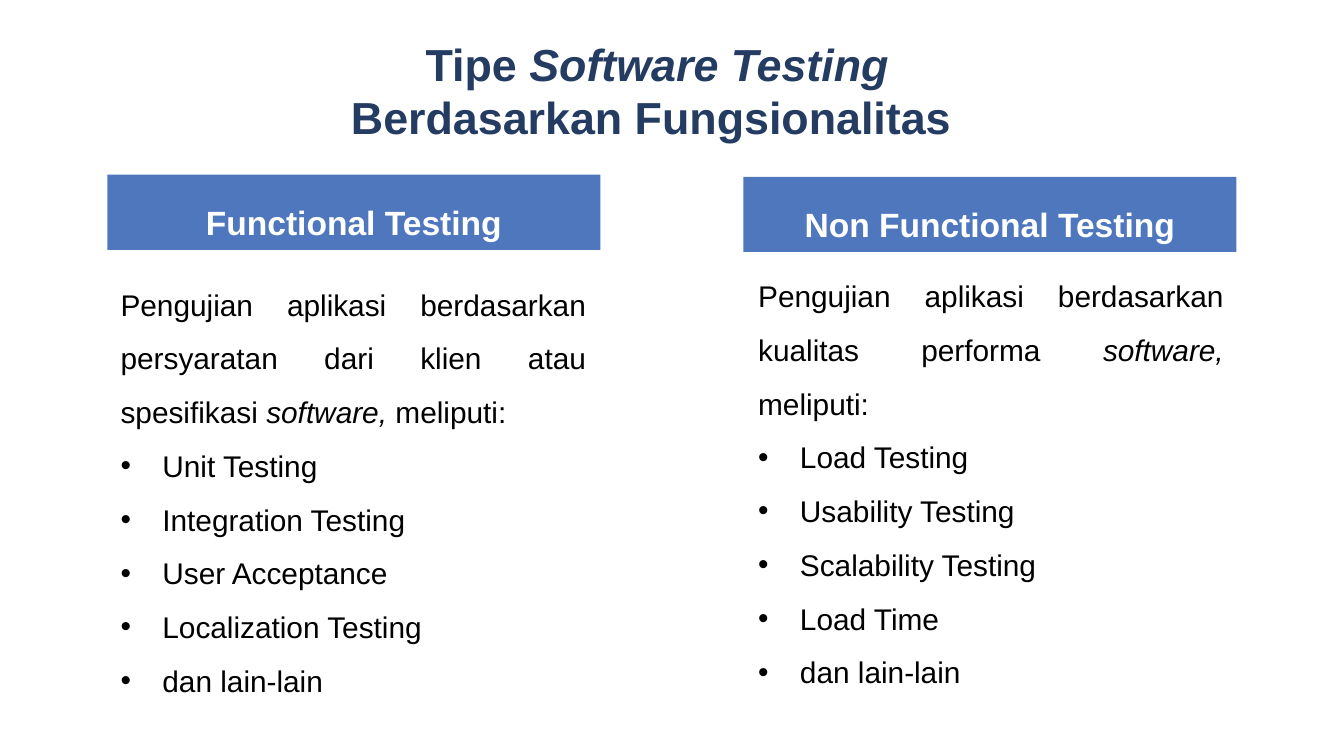
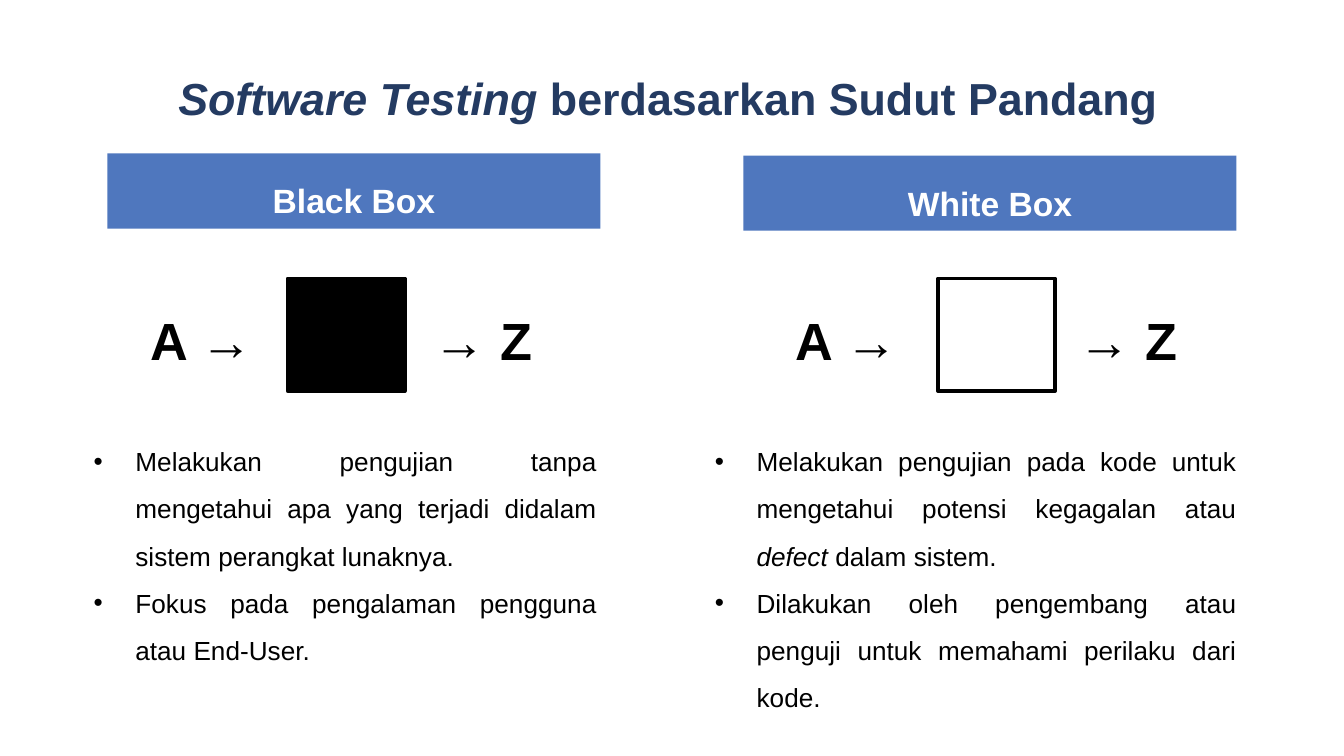
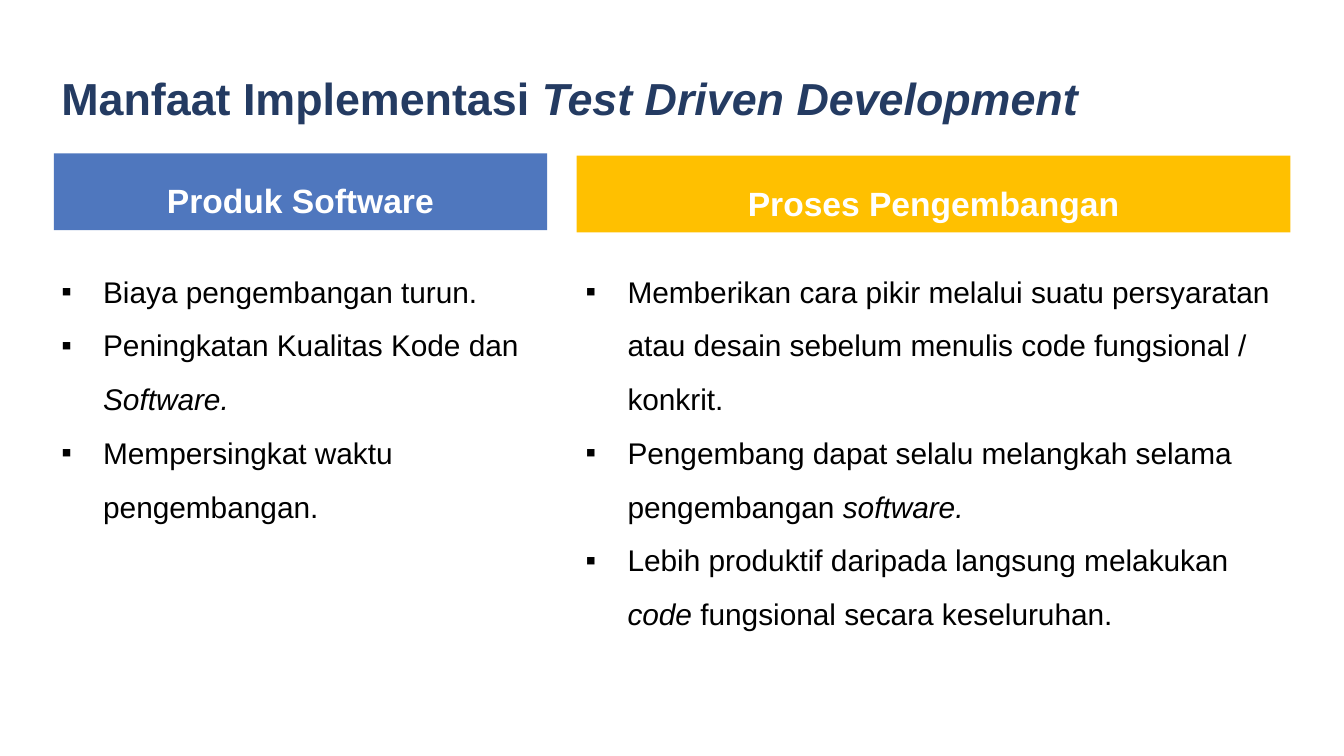
from lxml.etree import SubElement
from pptx import Presentation
from pptx.dml.color import RGBColor
from pptx.enum.shapes import MSO_SHAPE
from pptx.enum.text import MSO_ANCHOR, MSO_AUTO_SIZE, PP_ALIGN
from pptx.oxml.ns import qn
from pptx.util import Cm, Pt

NAVY = RGBColor(0x24, 0x3B, 0x62)
BLUE = RGBColor(0x4F, 0x77, 0xBE)
GOLD = RGBColor(0xFF, 0xC0, 0x00)
BLACK = RGBColor(0x00, 0x00, 0x00)
WHITE = RGBColor(0xFF, 0xFF, 0xFF)

BULLETS = "•▪"
HANGING = Cm(0.79)
CENTERED = {"alignment": PP_ALIGN.CENTER}
SPACED = {"line_spacing": 1.5}
JUSTIFIED = {"alignment": PP_ALIGN.JUSTIFY, **SPACED}

TITLE = {"size": Pt(24), "bold": True}
BAND = {"size": Pt(18), "bold": True}
BODY = {"size": Pt(16)}
SMALL_BODY = {"size": Pt(14)}
LETTER = {"size": Pt(28), "bold": True}


def add_text(slide, box, lines, font_format, color=BLACK, paragraph_format={},
             fill=None, anchor=MSO_ANCHOR.TOP):
    """Write lines in a box; *stars* mark italics, a leading bullet makes a list item."""
    lengths = [Cm(value) for value in box]
    if fill is None:
        shape = slide.shapes.add_textbox(*lengths)
    else:
        shape = slide.shapes.add_shape(MSO_SHAPE.RECTANGLE, *lengths)
        shape.shadow.inherit = False
        shape.fill.solid()
        shape.fill.fore_color.rgb = fill
        shape.line.fill.background()
    frame = shape.text_frame
    frame.word_wrap = True
    frame.auto_size = MSO_AUTO_SIZE.SHAPE_TO_FIT_TEXT
    frame.vertical_anchor = anchor
    for index, line in enumerate(lines):
        paragraph = frame.add_paragraph() if index else frame.paragraphs[0]
        for name, value in paragraph_format.items():
            setattr(paragraph, name, value)
        if line[0] in BULLETS:
            properties = paragraph._p.get_or_add_pPr()
            properties.set("marL", str(HANGING))
            properties.set("indent", str(-HANGING))
            bullet_color = SubElement(properties, qn("a:buClr"))
            SubElement(bullet_color, qn("a:srgbClr")).set("val", str(BLACK))
            SubElement(properties, qn("a:buFont")).set("typeface", "Arial")
            SubElement(properties, qn("a:buChar")).set("char", line[0])
            line = line[1:].lstrip()
        for part, text in enumerate(line.split("*")):
            if not text:
                continue
            run = paragraph.add_run()
            run.text = text
            run.font.name = "Arial"
            run.font.italic = part % 2 == 1
            run.font.color.rgb = color
            for name, value in font_format.items():
                setattr(run.font, name, value)


def add_bands(slide, top, height, bands):
    """Add the column headings, each one a hair lower than the one before."""
    for index, (left, width, fill, heading) in enumerate(bands):
        add_text(slide, (left, top + 0.04 * index, width, height), [heading],
                 BAND, WHITE, {**CENTERED, **SPACED}, fill)


presentation = Presentation()
presentation.slide_width = Cm(25.4)
presentation.slide_height = Cm(14.28)
blank = presentation.slide_layouts[6]

# Slide 1: functional and non functional testing
slide = presentation.slides.add_slide(blank)
add_text(slide, (0.81, 0.56, 23.22, 2.31),
         ["Tipe *Software Testing*", "Berdasarkan Fungsionalitas "],
         TITLE, NAVY, CENTERED)
add_bands(slide, 3.3, 1.42, [(2.03, 9.32, BLUE, "Functional Testing"),
                             (14.05, 9.32, BLUE, "Non Functional Testing")])
test_types = [
    (2.03, 4.9, [
        "Pengujian aplikasi berdasarkan persyaratan dari klien atau spesifikasi *software, *meliputi:",
        "• Unit Testing",
        "• Integration Testing",
        "• User Acceptance",
        "• Localization Testing",
        "• dan lain-lain",
    ]),
    (14.08, 4.74, [
        "Pengujian aplikasi berdasarkan kualitas performa *software, *meliputi:",
        "• Load Testing",
        "• Usability Testing",
        "• Scalability Testing",
        "• Load Time",
        "• dan lain-lain",
    ]),
]
for left, top, lines in test_types:
    add_text(slide, (left, top, 9.3, 8.46), lines, BODY,
             paragraph_format=JUSTIFIED, anchor=MSO_ANCHOR.MIDDLE)

# Slide 2: black box and white box
slide = presentation.slides.add_slide(blank)
add_text(slide, (2.87, 1.22, 19.74, 1.27),
         ["*Software Testing *berdasarkan Sudut Pandang "], TITLE, NAVY, CENTERED)
add_bands(slide, 2.9, 1.42, [(2.03, 9.32, BLUE, "Black Box"),
                             (14.05, 9.32, BLUE, "White Box")])
for input_left, box_left, box_fill in [(2.59, 5.44, BLACK), (14.78, 17.73, WHITE)]:
    box = slide.shapes.add_shape(MSO_SHAPE.RECTANGLE,
                                 Cm(box_left), Cm(5.26), Cm(2.21), Cm(2.13))
    box.shadow.inherit = False
    box.fill.solid()
    box.fill.fore_color.rgb = box_fill
    box.line.color.rgb = BLACK
    box.line.width = Pt(2)
    for left, letter in [(input_left, "A →"), (input_left + 5.08, " → Z")]:
        add_text(slide, (left, 5.69, 2.87, 1.45), [letter], LETTER)
viewpoints = [
    (1.52, 10.01, [
        "• Melakukan pengujian tanpa mengetahui apa yang terjadi didalam sistem perangkat lunaknya.",
        "• Fokus pada pengalaman pengguna atau End-User.",
    ]),
    (13.26, 10.36, [
        "• Melakukan pengujian pada kode untuk mengetahui potensi kegagalan atau *defect *dalam sistem.",
        "• Dilakukan oleh pengembang atau penguji untuk memahami perilaku dari kode.",
    ]),
]
for left, width, lines in viewpoints:
    add_text(slide, (left, 8, width, 4.62), lines, SMALL_BODY,
             paragraph_format=JUSTIFIED)

# Slide 3: benefits of test driven development
slide = presentation.slides.add_slide(blank)
add_text(slide, (0.91, 1.22, 21.06, 1.27),
         ["Manfaat Implementasi *Test Driven Development*"], TITLE, NAVY)
add_bands(slide, 2.9, 1.45, [(1.02, 9.32, BLUE, "Produk Software"),
                             (10.9, 13.49, GOLD, "Proses Pengembangan")])
benefits = [
    (0.91, 9.42, 5.38, [
        "▪ Biaya pengembangan turun.",
        "▪ Peningkatan Kualitas Kode dan *Software.*",
        "▪ Mempersingkat waktu pengembangan.",
    ]),
    (10.82, 13.49, 8.46, [
        "▪ Memberikan cara pikir melalui suatu persyaratan atau desain sebelum menulis code fungsional / konkrit.",
        "▪ Pengembang dapat selalu melangkah selama pengembangan *software.*",
        "▪ Lebih produktif daripada langsung melakukan *code *fungsional secara keseluruhan.",
    ]),
]
for left, width, height, lines in benefits:
    add_text(slide, (left, 4.7, width, height), lines, BODY, paragraph_format=SPACED)

presentation.save("out.pptx")
